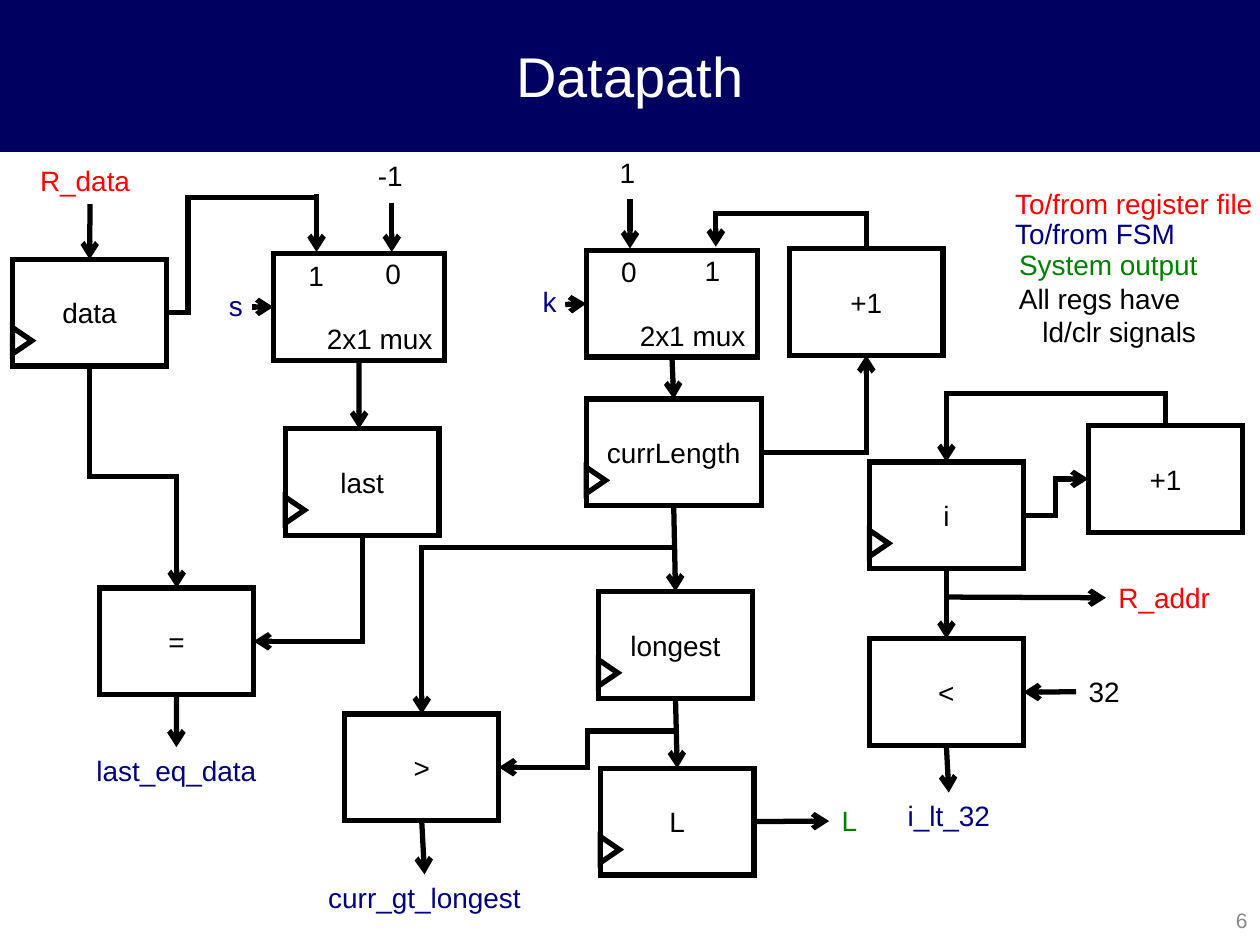
from pptx import Presentation
from pptx.dml.color import RGBColor
from pptx.enum.shapes import MSO_CONNECTOR, MSO_SHAPE
from pptx.enum.text import MSO_ANCHOR, PP_ALIGN
from pptx.oxml.ns import qn
from pptx.util import Pt
from lxml.etree import SubElement

BLACK = RGBColor(0x00, 0x00, 0x00)
WHITE = RGBColor(0xFF, 0xFF, 0xFF)
GRAY = RGBColor(0x89, 0x89, 0x89)
NAVY = RGBColor(0x00, 0x00, 0x60)
BLUE = RGBColor(0x00, 0x00, 0x80)
RED = RGBColor(0xFF, 0x00, 0x00)
GREEN = RGBColor(0x00, 0x80, 0x00)
TOP, LEFT, BOTTOM, RIGHT = range(4)


def write(tf, text, size=16, color=BLACK, font="Arial", align=PP_ALIGN.LEFT,
          anchor=MSO_ANCHOR.TOP, indent=0):
    tf.word_wrap = True
    tf.vertical_anchor = anchor
    for n, line in enumerate(text.split("\n")):
        p = tf.add_paragraph() if n else tf.paragraphs[0]
        p.alignment = align
        if n and indent:
            p._p.get_or_add_pPr().set("marL", str(Pt(indent)))
        r = p.add_run()
        r.text = line
        r.font.name, r.font.size = font, Pt(size)
        r.font.color.rgb = color


def side(sp, n):
    x, y, w, h = (v.pt for v in (sp.left, sp.top, sp.width, sp.height))
    return [(x + w / 2, y), (x, y + h / 2),
            (x + w / 2, y + h), (x + w, y + h / 2)][n]


class Diagram:
    line_width = 3
    box_size = (88, 61)

    def __init__(self, s):
        self.s = s

    def stroke(self, sp, arrow=False):
        sp.line.color.rgb = BLACK
        sp.line.width = Pt(self.line_width)
        ln = sp.line._get_or_add_ln()
        SubElement(ln, qn("a:miter"), lim="800000")
        if arrow:
            SubElement(ln, qn("a:tailEnd"), type="arrow")

    def shape(self, kind, x, y, w, h):
        sp = self.s.shapes.add_shape(kind, Pt(x), Pt(y), Pt(w), Pt(h))
        sp.shadow.inherit = False
        sp.fill.background()
        self.stroke(sp)
        return sp

    def band(self, text, w, h):
        sp = self.shape(MSO_SHAPE.RECTANGLE, 0, 0, w, h)
        sp.fill.solid()
        sp.fill.fore_color.rgb = NAVY
        sp.line.color.rgb = NAVY
        sp.line.width = Pt(0.75)
        write(sp.text_frame, text, size=32, color=WHITE,
              align=PP_ALIGN.CENTER, anchor=MSO_ANCHOR.MIDDLE)

    def box(self, text, x, y, w=None):
        sp = self.shape(MSO_SHAPE.RECTANGLE, x, y, w or self.box_size[0], self.box_size[1])
        write(sp.text_frame, text, align=PP_ALIGN.CENTER, anchor=MSO_ANCHOR.MIDDLE)
        return sp

    def register(self, text, x, y, w=None):
        sp = self.box(text, x, y, w)
        clock = self.shape(MSO_SHAPE.ISOSCELES_TRIANGLE, x - 2, y + 41, 15, 11)
        clock.rotation = 90
        return sp

    def mux(self, x, y):
        sp = self.shape(MSO_SHAPE.RECTANGLE, x, y, 98, self.box_size[1])
        sp.text_frame.margin_bottom = Pt(3)
        write(sp.text_frame, "2x1 mux", align=PP_ALIGN.RIGHT, anchor=MSO_ANCHOR.BOTTOM)
        return sp

    def label(self, text, x, y, w=44, h=26.6, **fmt):
        sp = self.s.shapes.add_textbox(Pt(x), Pt(y), Pt(w), Pt(h))
        write(sp.text_frame, text, **fmt)
        return sp

    def connector(self, kind, start, end, arrow):
        c = self.s.shapes.add_connector(kind, *(Pt(v) for v in (*start, *end)))
        self.stroke(c, arrow)
        SubElement(c._element.spPr, qn("a:effectLst"))
        return c

    def arrow(self, start, end):
        joins = [v if hasattr(v[0], "shape_id") else None for v in (start, end)]
        points = [side(*j) if j else v for j, v in zip(joins, (start, end))]
        c = self.connector(MSO_CONNECTOR.STRAIGHT, *points, True)
        if joins[0]:
            c.begin_connect(*joins[0])
        if joins[1]:
            c.end_connect(*joins[1])

    def elbow(self, start, end, vertical=False, bend=None, arrow=True):
        (x1, y1), (x2, y2) = start, end
        dx, dy = x2 - x1, y2 - y1
        if vertical:
            rot = 90 if dx < 0 < dy else 270
            flip_h = rot == 270 and dy > 0
            flip_v = rot == 270 and dx < 0
            w, h, origin, run = abs(dy), abs(dx), y1, dy
        else:
            rot = 180 if dx < 0 else 0
            flip_h, flip_v = False, (dx < 0) != (dy < 0)
            w, h, origin, run = abs(dx), abs(dy), x1, dx
        cx, cy = (x1 + x2) / 2, (y1 + y2) / 2
        c = self.connector(MSO_CONNECTOR.ELBOW, (cx - w / 2, cy - h / 2),
                           (cx + w / 2, cy + h / 2), arrow)
        xfrm = c._element.spPr.find(qn("a:xfrm"))
        xfrm.set("rot", str(rot * 60000))
        xfrm.set("flipH", str(int(flip_h)))
        xfrm.set("flipV", str(int(flip_v)))
        geom = c._element.spPr.find(qn("a:prstGeom"))
        if bend is None:
            geom.set("prst", "bentConnector2")
        else:
            ratio = round((bend - origin) / run * 100000)
            SubElement(geom.find(qn("a:avLst")), qn("a:gd"), name="adj1", fmla=f"val {ratio}")


def main():
    prs = Presentation()
    prs.slide_width, prs.slide_height = Pt(720), Pt(540)
    d = Diagram(prs.slides.add_slide(prs.slide_layouts[6]))
    center = PP_ALIGN.CENTER

    d.band("Datapath", 720, 86.4)
    d.label("6", 567.4, 511.2, 152.6, 28.8, size=12, color=GRAY,
            align=PP_ALIGN.RIGHT, anchor=MSO_ANCHOR.MIDDLE)

    d.label("To/from register file", 573, 103, 174, color=RED)
    d.label("To/from FSM", 573, 120.2, 156, color=BLUE)
    d.label("System output", 575.2, 138.2, 148, color=GREEN)
    d.label("All regs have\nld/clr signals", 575.2, 157.2, 213, 46, indent=13.4)

    data = d.register("data", 7.2, 148.2)
    last = d.register("last", 163, 245)
    equal = d.box("=", 56.9, 336)
    last_mux = d.mux(156.2, 144.9)
    r_data = d.label("R_data", 15.8, 90, 71.3, color=RED)
    last_eq = d.label("last_eq_data", 38.9, 427, 123.8, color=BLUE, align=center)
    d.label("-1", 208.8, 87.1)
    d.label("1", 169.2, 144)
    d.label("0", 213.1, 143.3)
    d.label("s", 123.8, 161.3, 31, color=BLUE)
    d.arrow((r_data, BOTTOM), (data, TOP))
    d.arrow((equal, BOTTOM), (last_eq, TOP))
    d.arrow((180.9, 111), (180.9, 144))
    d.arrow((223.9, 116), (223.9, 144))
    d.arrow((144, 175.4), (last_mux, LEFT))
    d.arrow((last_mux, BOTTOM), (205.2, 245))
    d.elbow(side(data, RIGHT), (182.2, 113), bend=107.5, arrow=False)
    d.elbow(side(data, BOTTOM), side(equal, TOP), vertical=True, bend=272.3)
    d.elbow(side(last, BOTTOM), side(equal, RIGHT), vertical=True)

    curr_mux = d.mux(335, 143)
    curr = d.register("currLength", 335, 228, 100)
    longest = d.register("longest", 342, 338)
    output = d.register("L", 343, 439)
    curr_inc = d.box("+1", 451, 142)
    greater = d.box(">", 197, 408)
    curr_gt = d.label("curr_gt_longest", 174.2, 499.7, 136.8, color=BLUE, align=center)
    l_out = d.label("L", 473.8, 455.9, 59.8, color=GREEN)
    d.label("1", 347, 85.3)
    d.label("0", 347.8, 141.8)
    d.label("1", 395.6, 141.4)
    d.label("k", 303, 159.1, 31, color=BLUE)
    d.arrow((360, 113.8), (360, 142))
    d.arrow((323, 174), (curr_mux, LEFT))
    d.arrow((curr_mux, BOTTOM), (curr, TOP))
    d.arrow((curr, BOTTOM), (longest, TOP))
    d.arrow((longest, BOTTOM), (output, TOP))
    d.arrow((output, RIGHT), (l_out, LEFT))
    d.arrow((greater, BOTTOM), (curr_gt, TOP))
    d.elbow(side(curr, RIGHT), side(curr_inc, BOTTOM))
    d.elbow(side(curr_inc, TOP), (409, 141), vertical=True, bend=122)
    d.elbow((386, 313), side(greater, TOP))
    d.elbow((386, 417.8), side(greater, RIGHT), bend=335.5)

    index = d.register("i", 496.8, 264)
    index_inc = d.box("+1", 622, 243.2)
    less = d.box("<", 496.8, 365)
    r_addr = d.label("R_addr", 632, 328.3, 71.3, color=RED)
    i_lt = d.label("i_lt_32", 504.7, 452.9, 75, color=BLUE, align=center)
    limit = d.label("32", 615, 382, 48)
    d.arrow((index, BOTTOM), (less, TOP))
    d.arrow((less, BOTTOM), (i_lt, TOP))
    d.arrow((540.8, 341.2), (r_addr, LEFT))
    d.arrow((limit, LEFT), (less, RIGHT))
    d.elbow(side(index_inc, TOP), side(index, TOP), vertical=True, bend=225)
    d.elbow(side(index, RIGHT), side(index_inc, LEFT), bend=603.4)

    prs.save("out.pptx")


if __name__ == "__main__":
    main()
